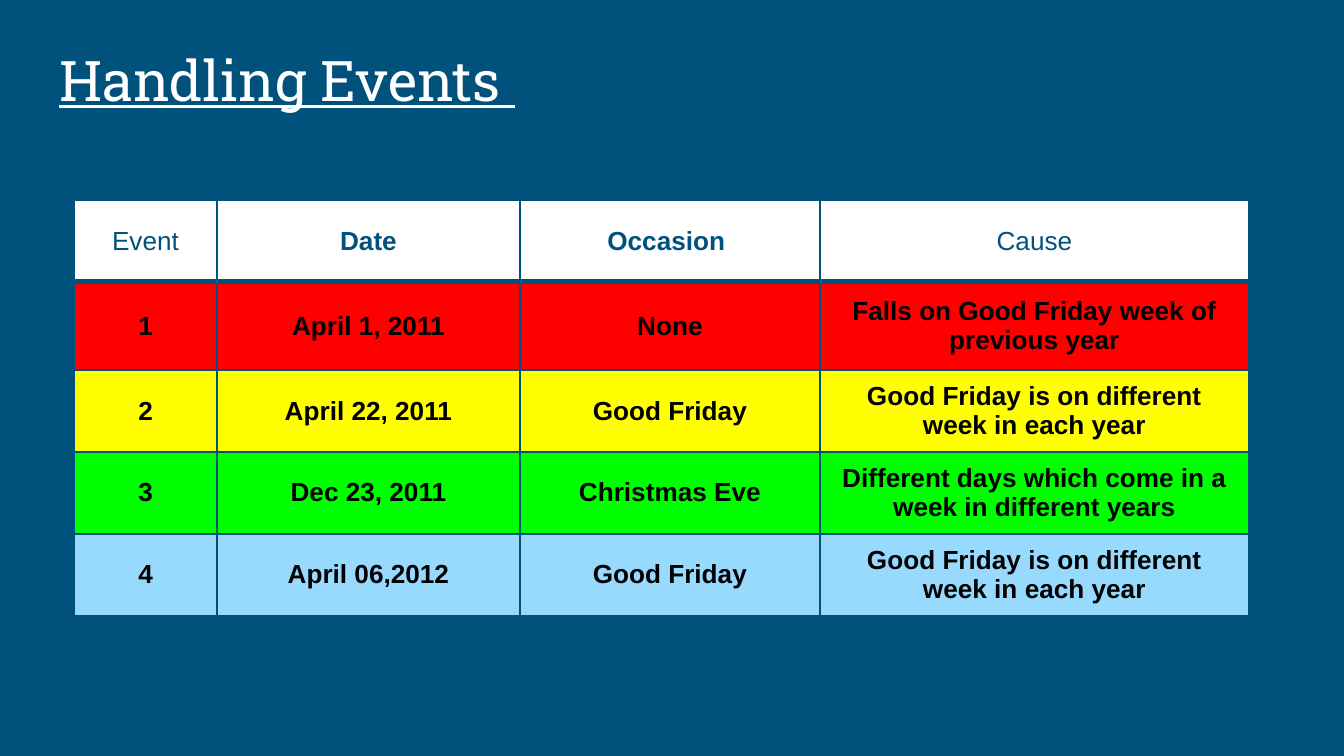
from dataclasses import dataclass

from lxml.etree import SubElement
from pptx import Presentation
from pptx.dml.color import RGBColor
from pptx.enum.text import MSO_ANCHOR, PP_ALIGN
from pptx.oxml.ns import qn
from pptx.slide import Slide
from pptx.table import _Cell
from pptx.text.text import _Paragraph
from pptx.util import Emu, Pt

NAVY = RGBColor(0x00, 0x51, 0x7C)
WHITE = RGBColor(0xFF, 0xFF, 0xFF)
BLACK = RGBColor(0x00, 0x00, 0x00)
RED = RGBColor(0xFF, 0x00, 0x00)
YELLOW = RGBColor(0xFF, 0xFF, 0x00)
GREEN = RGBColor(0x00, 0xFF, 0x00)
SKY = RGBColor(0x98, 0xDA, 0xFE)

PX_PER_INCH = 134.4
COLUMN_WIDTHS = (143, 303, 300, 429)
TITLE_FONT = {"name": "Roboto Slab", "size": Pt(30), "underline": True}
CELL_FONT = {"name": "Arial", "size": Pt(14)}


@dataclass(frozen=True)
class EventRow:
    texts: tuple[str, ...]
    fill: RGBColor
    height: int = 82
    color: RGBColor = BLACK
    bold: tuple[bool, ...] = (True, True, True, True)
    top_line: int = 1
    bottom_line: int = 1


ROWS = (
    EventRow(("Event", "Date", "Occasion ", "Cause"), WHITE, color=NAVY,
             bold=(False, True, True, False), bottom_line=3),
    EventRow(("1", "April 1, 2011", "None",
              "Falls on Good Friday week of previous year"), RED, height=88, top_line=3),
    EventRow(("2", "April 22, 2011", "Good Friday",
              "Good Friday is on different week in each year"), YELLOW),
    EventRow(("3", "Dec 23, 2011", "Christmas Eve",
              "Different days which come in a week in different years"), GREEN),
    EventRow(("4", "April 06,2012", "Good Friday",
              "Good Friday is on different week in each year"), SKY),
)


def px(length: int) -> Emu:
    return Emu(round(length * 914400 / PX_PER_INCH))


def write(paragraph: _Paragraph, text: str, color: RGBColor, values: dict) -> None:
    run = paragraph.add_run()
    run.text = text
    run.font.color.rgb = color
    for name, value in values.items():
        setattr(run.font, name, value)


def add_border(cell: _Cell, side: str, width: int) -> None:
    properties = cell._tc.get_or_add_tcPr()
    line = SubElement(properties, qn(f"a:ln{side}"), w=str(Pt(width)))
    fill = SubElement(line, qn("a:solidFill"))
    SubElement(fill, qn("a:srgbClr"), val=str(NAVY))


def fill_cell(cell: _Cell, row: EventRow, column: int) -> None:
    widths = {"L": 1, "R": 1, "T": row.top_line, "B": row.bottom_line}
    for side, width in widths.items():
        add_border(cell, side, width)
    cell.fill.solid()
    cell.fill.fore_color.rgb = row.fill
    cell.vertical_anchor = MSO_ANCHOR.MIDDLE
    paragraph = cell.text_frame.paragraphs[0]
    paragraph.alignment = PP_ALIGN.CENTER
    write(paragraph, row.texts[column], row.color,
          CELL_FONT | {"bold": row.bold[column]})


def add_title(slide: Slide, text: str) -> None:
    frame = slide.shapes.add_textbox(px(46), px(19), px(1252), px(107)).text_frame
    margins = {f"margin_{side}": Pt(7.2) for side in ("left", "top", "right", "bottom")}
    values = margins | {"word_wrap": True, "vertical_anchor": MSO_ANCHOR.BOTTOM}
    for name, value in values.items():
        setattr(frame, name, value)
    write(frame.paragraphs[0], text, WHITE, TITLE_FONT)


def add_event_table(slide: Slide, left: int, top: int) -> None:
    height = sum(row.height for row in ROWS)
    table = slide.shapes.add_table(
        len(ROWS), len(COLUMN_WIDTHS), px(left), px(top),
        px(sum(COLUMN_WIDTHS)), px(height)).table
    table.first_row = False
    table.horz_banding = False
    for column, width in zip(table.columns, COLUMN_WIDTHS):
        column.width = px(width)
    for index, row in enumerate(ROWS):
        table.rows[index].height = px(row.height)
        for column in range(len(COLUMN_WIDTHS)):
            fill_cell(table.cell(index, column), row, column)


def main() -> None:
    presentation = Presentation()
    presentation.slide_width = px(1344)
    presentation.slide_height = px(756)
    slide = presentation.slides.add_slide(presentation.slide_layouts[6])
    slide.background.fill.solid()
    slide.background.fill.fore_color.rgb = NAVY
    add_title(slide, "Handling Events ")
    add_event_table(slide, 74, 200)
    presentation.save("out.pptx")


if __name__ == "__main__":
    main()
